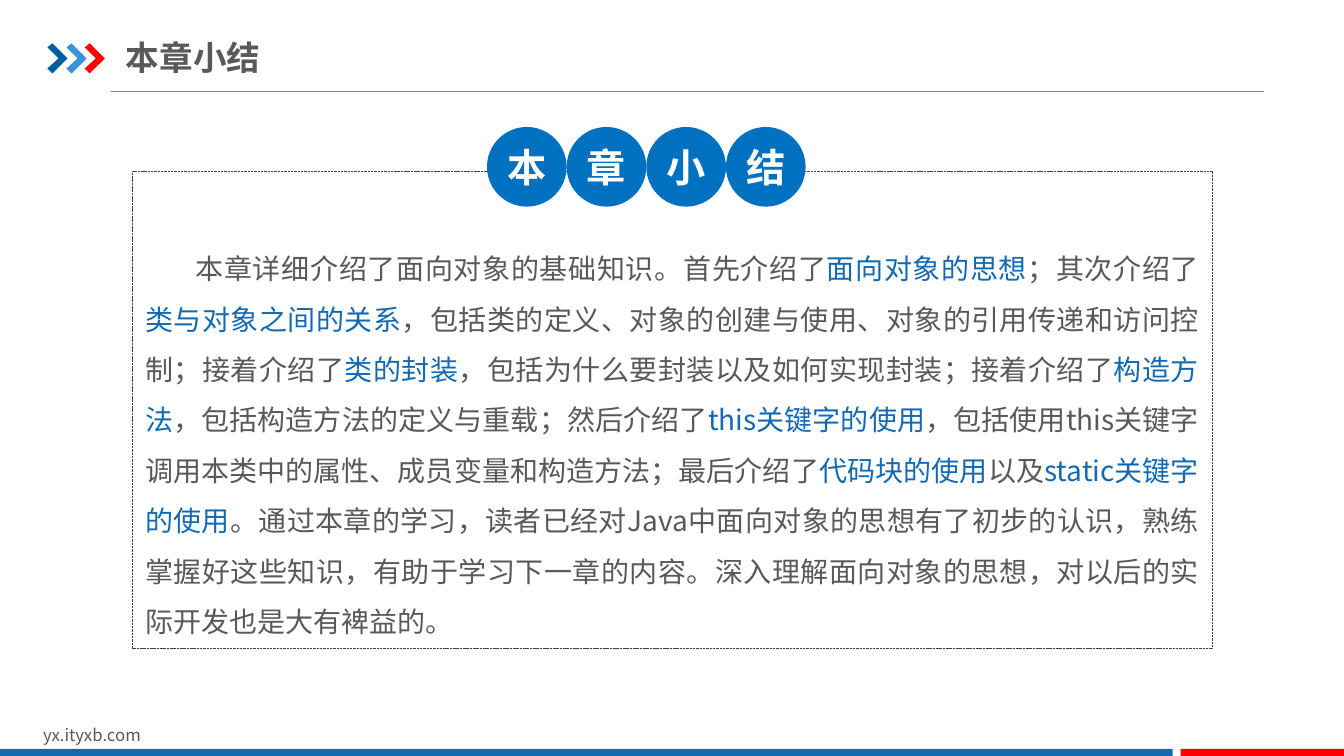
"""Build the chapter summary slide."""
import pptx
import pptx.util
import pptx.dml.color
import pptx.enum.dml
import pptx.enum.shapes
import pptx.enum.text
import pptx.oxml.ns
import lxml.etree

PX = 9144
FONT = "Noto Sans CJK SC"
HUES = {"text": "595959", "blue": "1369B2", "red": "FF0000", "disc": "0070C0",
        "navy": "005DA2", "sky": "3992DB", "rule": "808080", "frame": "404040",
        "white": "FFFFFF"}
KIND = pptx.enum.shapes.MSO_SHAPE
ALIGN = pptx.enum.text.PP_ALIGN
MIDDLE = pptx.enum.text.MSO_ANCHOR.MIDDLE


def color(name):
    return pptx.dml.color.RGBColor.from_string(HUES[name])


def style(para, size, hue, bold=False):
    para.font.size = pptx.util.Pt(size)
    para.font.bold = bold
    para.font.name = FONT
    para.font.fill.solid()
    para.font.fill.fore_color.rgb = color(hue)
    props = para._p.get_or_add_pPr().find(pptx.oxml.ns.qn("a:defRPr"))
    lxml.etree.SubElement(props, pptx.oxml.ns.qn("a:ea"), typeface=FONT)


deck = pptx.Presentation()
deck.slide_width = 1333 * PX
deck.slide_height = 750 * PX
slide = deck.slides.add_slide(deck.slide_layouts[6])
shapes = slide.shapes

rule = shapes.add_connector(pptx.enum.shapes.MSO_CONNECTOR.STRAIGHT,
                            110 * PX, 91 * PX, 1254 * PX, 91 * PX)
rule.line.color.rgb = color("rule")
rule.line.width = pptx.util.Pt(0.75)
lxml.etree.SubElement(rule._element.spPr, pptx.oxml.ns.qn("a:effectLst"))

for left, hue in zip((47, 66, 84), ("navy", "sky", "red")):
    pen = shapes.build_freeform(left, 47, scale=PX)
    pen.add_line_segments([(left + x, y) for x, y in
                           ((5, 43), (20, 58), (5, 73), (0, 68), (11, 58))])
    arrow = pen.convert_to_shape()
    arrow.shadow.inherit = False
    arrow.fill.solid()
    arrow.fill.fore_color.rgb = color(hue)
    arrow.line.fill.background()

site = shapes.add_textbox(33 * PX, 714 * PX, 318 * PX, 30 * PX).text_frame
site.word_wrap = True
site.text = "yx.ityxb.com"
style(site.paragraphs[0], 12, "text")

for left, width, hue in ((0, 1163, "blue"), (1171, 162, "red")):
    bar = shapes.add_shape(KIND.RECTANGLE, left * PX, 743 * PX, width * PX, 7 * PX)
    bar.shadow.inherit = False
    bar.fill.solid()
    bar.fill.fore_color.rgb = color(hue)
    bar.line.fill.background()

title = shapes.add_textbox(125 * PX, 29 * PX, 620 * PX, 55 * PX).text_frame
title.word_wrap = True
title.margin_left = title.margin_right = 0
title.vertical_anchor = MIDDLE
title.text = "本章小结"
style(title.paragraphs[0], 24, "text", True)

body = shapes.add_textbox(131 * PX, 226 * PX, 1071 * PX, 417 * PX).text_frame
body.word_wrap = True
body.margin_left = body.margin_right = 13 * PX
body.margin_top = body.margin_bottom = 7 * PX
para = body.paragraphs[0]
para.alignment = ALIGN.JUSTIFY
para.line_spacing = 1.5
para._p.get_or_add_pPr().set("indent", str(50 * PX))
style(para, 20, "text")
parts = (
    "本章详细介绍了面向对象的基础知识。首先介绍了", "面向对象的思想",
    "；其次介绍了", "类与对象之间的关系",
    "，包括类的定义、对象的创建与使用、对象的引用传递和访问控制；接着介绍了", "类的封装",
    "，包括为什么要封装以及如何实现封装；接着介绍了", "构造方法",
    "，包括构造方法的定义与重载；然后介绍了", "this关键字的使用",
    "，包括使用this关键字调用本类中的属性、成员变量和构造方法；最后介绍了", "代码块的使用",
    "以及", "static关键字的使用",
    "。通过本章的学习，读者已经对Java中面向对象的思想有了初步的认识，"
    "熟练掌握好这些知识，有助于学习下一章的内容。"
    "深入理解面向对象的思想，对以后的实际开发也是大有裨益的。",
)
for i, part in enumerate(parts):
    run = para.add_run()
    run.text = part
    run.font.color.rgb = color("blue" if i % 2 else "text")

frame = shapes.add_shape(KIND.ROUNDED_RECTANGLE, 131 * PX, 170 * PX, 1071 * PX, 473 * PX)
frame.adjustments[0] = 0
frame.shadow.inherit = False
frame.fill.background()
frame.line.color.rgb = color("frame")
frame.line.width = pptx.util.Pt(0.25)
frame.line.dash_style = pptx.enum.dml.MSO_LINE.SQUARE_DOT

for i, word in enumerate("本章小结"):
    disc = shapes.add_shape(KIND.OVAL, (483 + 79 * i) * PX, 126 * PX, 79 * PX, 79 * PX)
    disc.shadow.inherit = False
    disc.fill.solid()
    disc.fill.fore_color.rgb = color("disc")
    disc.line.fill.background()
    label = disc.text_frame
    label.margin_left = label.margin_right = 0
    label.margin_top = label.margin_bottom = 0
    label.vertical_anchor = MIDDLE
    label.text = word
    label.paragraphs[0].alignment = ALIGN.CENTER
    style(label.paragraphs[0], 28, "white", True)

deck.save("out.pptx")
